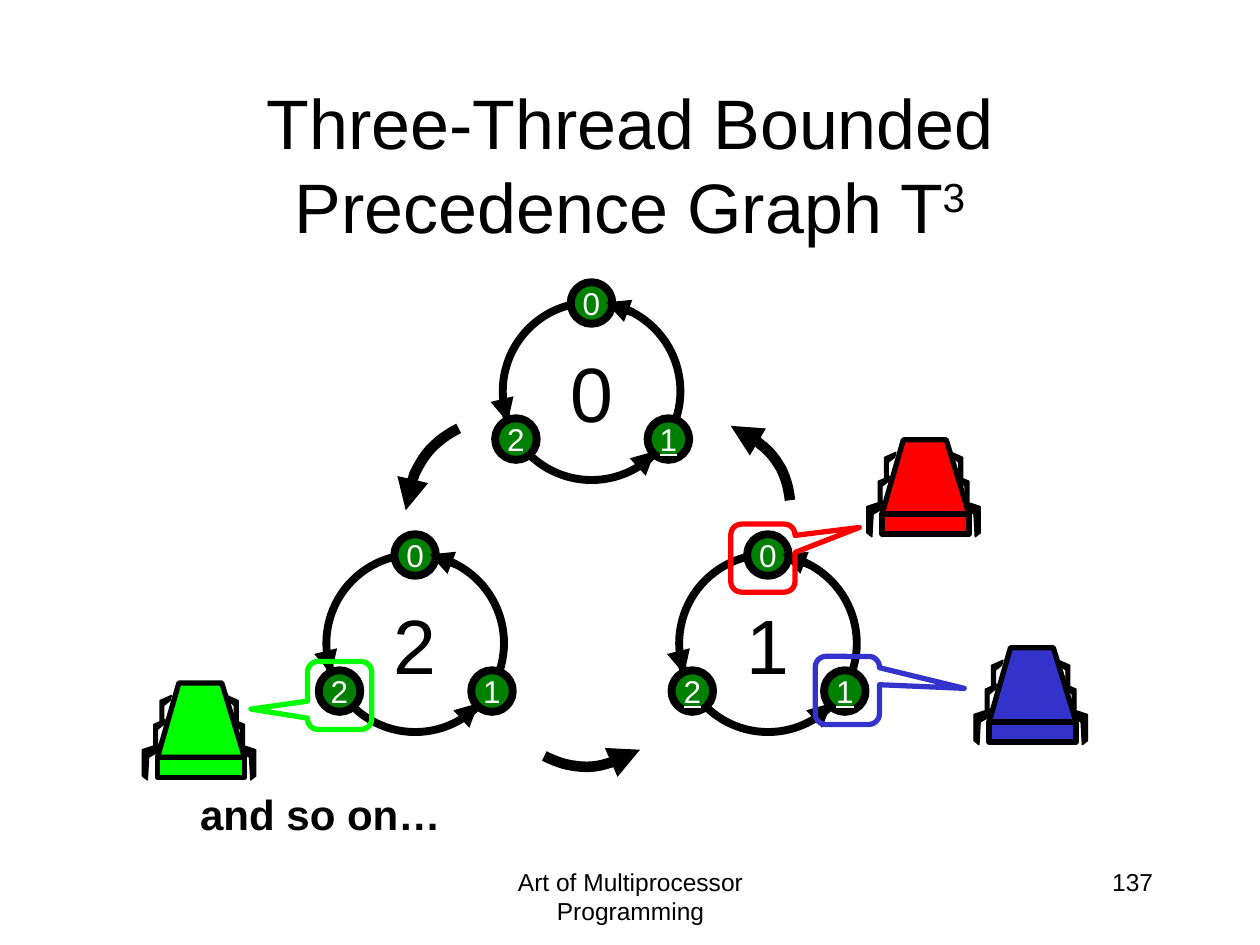
from lxml.etree import SubElement
from pptx import Presentation
from pptx.dml.color import RGBColor
from pptx.enum.shapes import MSO_CONNECTOR, MSO_SHAPE
from pptx.enum.text import MSO_ANCHOR, PP_ALIGN
from pptx.oxml.ns import qn
from pptx.util import Inches, Pt

BLACK = RGBColor(0x00, 0x00, 0x00)
WHITE = RGBColor(0xFF, 0xFF, 0xFF)
NODE_GREEN = RGBColor(0x00, 0x80, 0x00)
RED = RGBColor(0xFF, 0x00, 0x00)
BLUE = RGBColor(0x33, 0x33, 0xCC)
LIME = RGBColor(0x00, 0xFF, 0x00)

# Ring parts, measured from the ring's top left corner
RING_SIZE, NODE_SIZE = 1.41, 0.33
NODE_PLACES = [(0.54, -0.16), (1.15, 0.92), (-0.06, 0.92)]
RING_ARROWS = [((0, 0.79), (0.04, 0.95)),
               ((1.09, 1.29), (1.21, 1.18)),
               ((1.03, 0.08), (0.82, 0))]

# Robot parts, measured from the top left corner of the body
ROBOT_WIDTH, BODY_HEIGHT, BASE_HEIGHT = 0.69, 0.59, 0.16
BODY = [(0, BODY_HEIGHT), (0.17, 0), (0.51, 0), (ROBOT_WIDTH, BODY_HEIGHT)]
LONG_LEG = [(0, 0), (0.15, 0.05), (0.15, 0.26), (0.11, 0.29), (0.1, 0.11), (0.01, 0.06)]
SHORT_LEG = [(0, 0), (0.09, 0.04), (0.09, 0.2), (0.06, 0.23), (0.06, 0.08), (0.01, 0.04)]
BACK_LEGS = [(LONG_LEG, 0.63, 0.48), (SHORT_LEG, 0.6, 0.29)]
FRONT_LEGS = [(SHORT_LEG, 0.55, 0.1)]
LEG_MIRROR = 0.66  # a right leg at x has its left twin at LEG_MIRROR - x


def write(frame, text, size=18, color=BLACK, align=PP_ALIGN.CENTER,
          anchor=MSO_ANCHOR.TOP, wrap=True, bold=False, underline=False,
          superscript=""):
    frame.word_wrap = wrap
    frame.vertical_anchor = anchor
    para = frame.paragraphs[0]
    para.alignment = align
    for part in filter(None, (text, superscript)):
        span = para.add_run()
        span.text = part
        span.font.name = "Arial"
        span.font.size = Pt(size)
        span.font.color.rgb = color
        span.font.bold = bold
        span.font.underline = underline
    if superscript:
        span.font._element.set("baseline", "30000")


def sample_curve(start, pieces, steps=8):
    """Points along a chain of cubic curves."""
    points = [start]
    for first, second, end in pieces:
        corners = (points[-1], first, second, end)
        for step in range(1, steps + 1):
            t = step / steps
            weights = ((1 - t) ** 3, 3 * t * (1 - t) ** 2, 3 * t * t * (1 - t), t ** 3)
            points.append(tuple(sum(w * corner[axis] for w, corner in zip(weights, corners))
                                for axis in (0, 1)))
    return points


class Canvas:
    """Draws on the current slide in one style."""

    def __init__(self, page):
        self.page = page
        self.shapes = page.shapes

    def start_group(self):
        self.shapes = self.page.shapes.add_group_shape().shapes

    def end_group(self):
        self.shapes = self.page.shapes

    def style(self, shape, fill, line, width):
        shape.shadow.inherit = False
        if fill is None:
            shape.fill.background()
        else:
            shape.fill.solid()
            shape.fill.fore_color.rgb = fill
        shape.line.color.rgb = line
        shape.line.width = Pt(width)
        return shape

    def arrowhead(self, item):
        SubElement(item.line._get_or_add_ln(), qn("a:tailEnd"), type="triangle")

    def text(self, text, left, top, width, height, **form):
        box = self.shapes.add_textbox(*map(Inches, (left, top, width, height)))
        write(box.text_frame, text, **form)

    def shape(self, kind, left, top, width, height, fill=None, line=BLACK, weight=3):
        shape = self.shapes.add_shape(kind, *map(Inches, (left, top, width, height)))
        return self.style(shape, fill, line, weight)

    def circle(self, text, left, top, diameter, fill, **form):
        circle = self.shape(MSO_SHAPE.OVAL, left, top, diameter, diameter, fill, weight=4.5)
        write(circle.text_frame, text, anchor=MSO_ANCHOR.MIDDLE, wrap=False, **form)

    def outline(self, points, fill=None, weight=0.75, close=True):
        points = [(Inches(x), Inches(y)) for x, y in points]
        builder = self.shapes.build_freeform(*points[0])
        builder.add_line_segments(points[1:], close=close)
        return self.style(builder.convert_to_shape(), fill, BLACK, weight)

    def straight_arrow(self, start, end):
        arrow = self.shapes.add_connector(MSO_CONNECTOR.STRAIGHT, *map(Inches, start + end))
        arrow.line.color.rgb = BLACK
        arrow.line.width = Pt(4.5)
        self.arrowhead(arrow)
        SubElement(arrow._element.spPr, qn("a:effectLst"))

    def curved_arrow(self, start, *pieces):
        self.arrowhead(self.outline(sample_curve(start, pieces), weight=6, close=False))

    def ring(self, label, left, top, underlined=""):
        self.start_group()
        self.circle(label, left, top, RING_SIZE, WHITE, size=44)
        for number, (x, y) in enumerate(NODE_PLACES):
            name = str(number)
            self.circle(name, left + x, top + y, NODE_SIZE, NODE_GREEN,
                        color=WHITE, underline=name in underlined)
        for (x1, y1), (x2, y2) in RING_ARROWS:
            self.straight_arrow((left + x1, top + y1), (left + x2, top + y2))
        self.end_group()

    def legs(self, legs, left, top):
        for leg, x, y in legs:
            right_leg = [(x + dx, y + dy) for dx, dy in leg]
            left_leg = [(LEG_MIRROR - px, py) for px, py in right_leg]
            for points in (right_leg, left_leg):
                self.outline([(left + px, top + py) for px, py in points], BLACK)

    def robot(self, color, left, top, callout_place, pointer):
        self.start_group()
        self.legs(BACK_LEGS, left, top)
        self.outline([(left + x, top + y) for x, y in BODY], color, weight=3)
        self.shape(MSO_SHAPE.RECTANGLE, left, top + BODY_HEIGHT,
                   ROBOT_WIDTH, BASE_HEIGHT, color)
        self.legs(FRONT_LEGS, left, top)
        callout = self.shape(MSO_SHAPE.ROUNDED_RECTANGULAR_CALLOUT, *callout_place,
                             0.51, 0.54, line=color)
        callout.adjustments[0], callout.adjustments[1] = pointer
        self.end_group()


def main():
    deck = Presentation()
    deck.slide_width, deck.slide_height = Inches(10), Inches(7.5)
    canvas = Canvas(deck.slides.add_slide(deck.slide_layouts[6]))

    # Footer and title
    canvas.text("Art of Multiprocessor Programming", 3.42, 6.83, 3.17, 0.5, size=14)
    canvas.text("137", 7.17, 6.83, 2.08, 0.5, size=14, align=PP_ALIGN.RIGHT)
    canvas.text("Three-Thread Bounded Precedence Graph T", 0.75, 0.67, 8.5, 1.25,
                size=40, anchor=MSO_ANCHOR.MIDDLE, superscript="3")

    # Lower rings
    canvas.ring("2", 2.59, 4.4)
    canvas.ring("1", 5.39, 4.4, underlined="12")

    # Arrows between the rings
    canvas.curved_arrow((3.64, 3.4),
                        ((3.56, 3.44), (3.49, 3.49), (3.43, 3.55)),
                        ((3.37, 3.61), (3.33, 3.68), (3.29, 3.76)),
                        ((3.26, 3.85), (3.24, 3.95), (3.22, 4.05)))
    canvas.curved_arrow((6.27, 3.97),
                        ((6.26, 3.88), (6.24, 3.8), (6.2, 3.72)),
                        ((6.16, 3.65), (6.11, 3.58), (6.04, 3.53)),
                        ((5.98, 3.47), (5.89, 3.43), (5.8, 3.38)))
    canvas.curved_arrow((4.32, 6),
                        ((4.4, 6.04), (4.48, 6.07), (4.57, 6.08)),
                        ((4.65, 6.09), (4.73, 6.09), (4.82, 6.06)),
                        ((4.9, 6.04), (4.99, 5.99), (5.08, 5.95)))

    # Upper ring
    canvas.ring("0", 3.99, 2.4, underlined="1")

    # Robots, each with a callout around its node
    canvas.robot(RED, 7, 3.49, (5.8, 4.16), (1.5, -0.45))
    canvas.robot(BLUE, 7.85, 5.14, (6.47, 5.21), (1.82, -0.03))
    canvas.robot(LIME, 1.25, 5.42, (2.44, 5.25), (-1.38, 0.2))

    # Closing remark
    canvas.text("and so on…", 1.49, 6.21, 2.11, 0.5, size=24, bold=True,
                align=PP_ALIGN.LEFT, wrap=False)

    deck.save("out.pptx")


if __name__ == "__main__":
    main()
